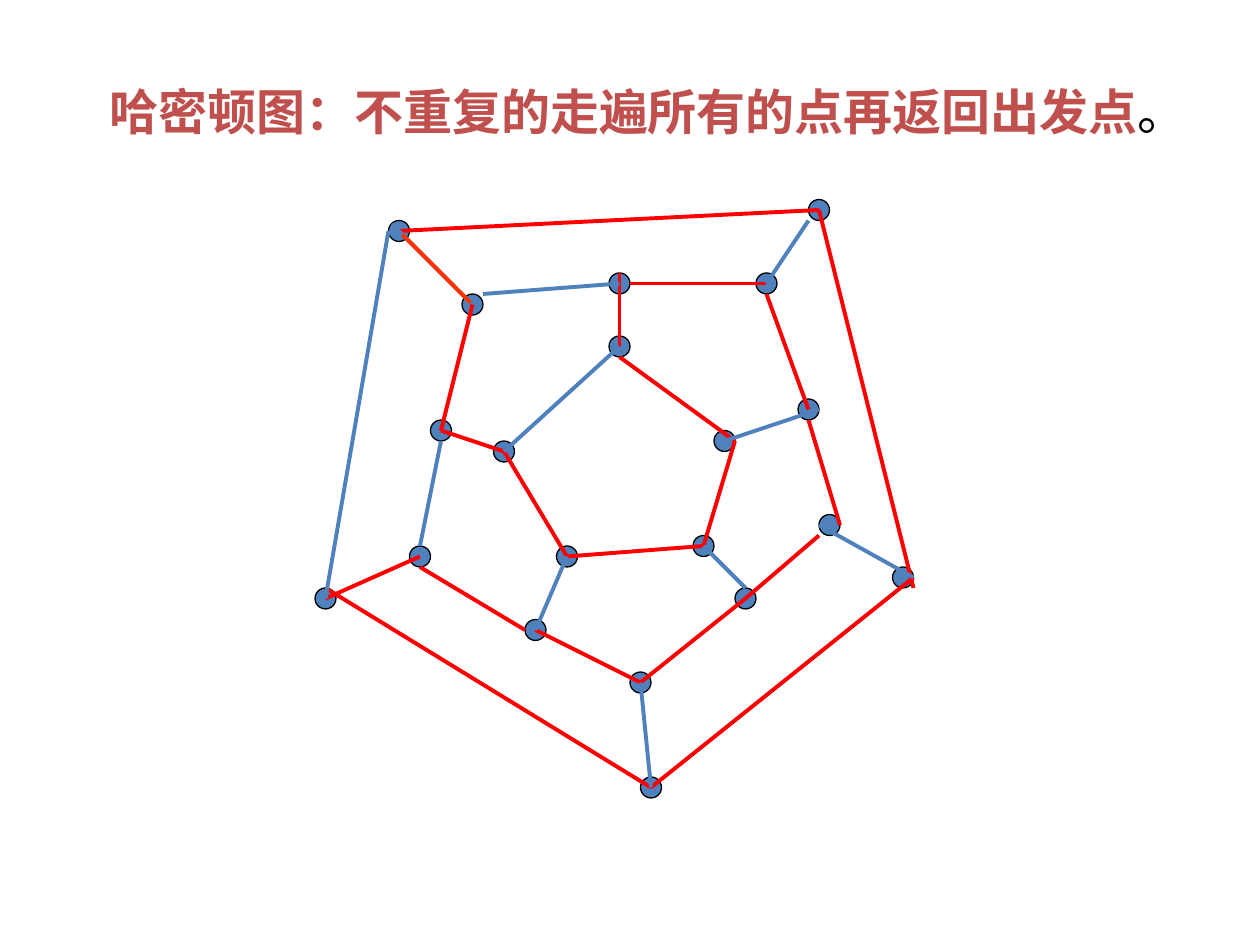
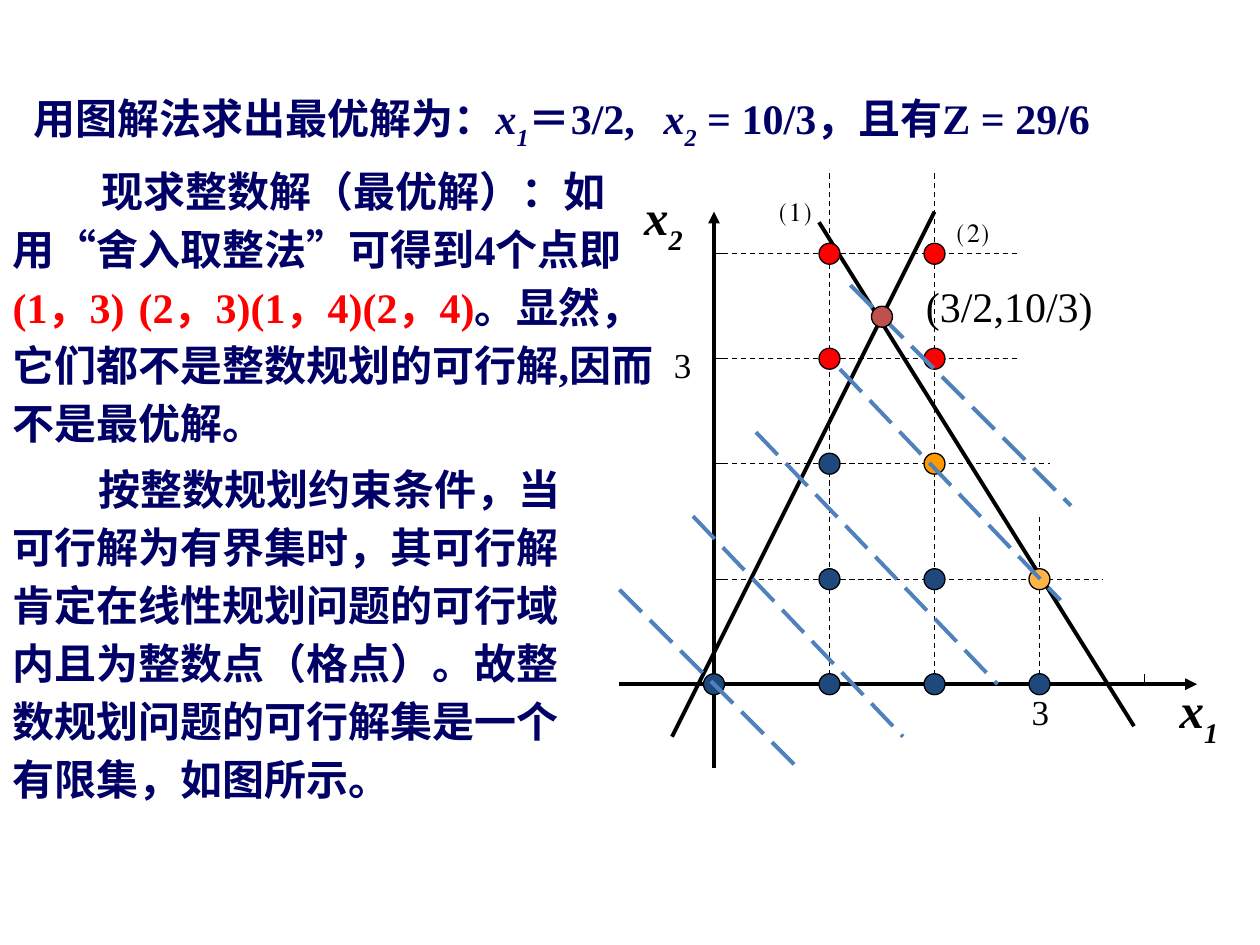
from dataclasses import dataclass
from typing import Optional

import pptx
import pptx.dml.color
import pptx.enum.dml
import pptx.enum.shapes
import pptx.enum.text
import pptx.oxml
import pptx.oxml.ns
import pptx.util

Pt = pptx.util.Pt
Point = tuple[float, float]
Box = tuple[float, float, float, float]


@dataclass(frozen=True)
class Theme:
    font: str = "Times New Roman"
    black: str = "000000"
    navy: str = "000066"
    red: str = "FF0000"
    brick: str = "C0504D"
    blue: str = "4F81BD"
    orange: str = "FF3300"
    lattice: str = "1F497D"
    amber: str = "FF9900"
    light_amber: str = "FFB445"
    heading: float = 28
    body: float = 24
    label: float = 20
    thick: float = 2.25
    thin: float = 0.75
    dot: float = 12


THEME = Theme()
DASH = pptx.enum.dml.MSO_LINE.DASH
LONG_DASH = pptx.enum.dml.MSO_LINE.LONG_DASH


@dataclass(frozen=True)
class Span:
    text: str
    color: Optional[str] = None
    bold: Optional[bool] = None
    italic: Optional[bool] = None
    subscript: bool = False


@dataclass(frozen=True)
class Dot:
    center: Point
    color: str = THEME.blue


@dataclass(frozen=True)
class Stroke:
    start: Point
    end: Point
    color: str = THEME.black
    width: float = THEME.thick
    dash: Optional[pptx.enum.dml.MSO_LINE] = None
    arrow: bool = False


@dataclass(frozen=True)
class Passage:
    box: Box
    spans: tuple[Span, ...]
    size: float
    color: str = THEME.black
    bold: bool = False
    wrap: bool = True
    line_spacing: float = 1.0
    space_before: float = 0
    indent: float = 0
    tab: Optional[float] = None


def rgb(color: str) -> pptx.dml.color.RGBColor:
    return pptx.dml.color.RGBColor.from_string(color)


def draw_dot(slide, dot: Dot) -> None:
    x, y = dot.center
    half = THEME.dot / 2
    disc = slide.shapes.add_shape(
        pptx.enum.shapes.MSO_SHAPE.OVAL,
        Pt(x - half), Pt(y - half), Pt(THEME.dot), Pt(THEME.dot),
    )
    disc.shadow.inherit = False
    disc.fill.solid()
    disc.fill.fore_color.rgb = rgb(dot.color)
    disc.line.color.rgb = rgb(THEME.black)
    disc.line.width = Pt(THEME.thin)


def draw_stroke(slide, stroke: Stroke) -> None:
    segment = slide.shapes.add_connector(
        pptx.enum.shapes.MSO_CONNECTOR.STRAIGHT,
        *(Pt(value) for value in stroke.start + stroke.end),
    )
    segment.line.color.rgb = rgb(stroke.color)
    segment.line.width = Pt(stroke.width)
    if stroke.dash is not None:
        segment.line.dash_style = stroke.dash
    properties = segment._element.spPr
    if stroke.arrow:
        head = pptx.oxml.parse_xml(
            f'<a:tailEnd {pptx.oxml.ns.nsdecls("a")} type="triangle"/>'
        )
        properties.find(pptx.oxml.ns.qn("a:ln")).append(head)
    properties.append(
        pptx.oxml.parse_xml(f'<a:effectLst {pptx.oxml.ns.nsdecls("a")}/>')
    )


def write_passage(holder, passage: Passage) -> None:
    holder.left, holder.top, holder.width, holder.height = map(Pt, passage.box)
    frame = holder.text_frame
    frame.word_wrap = passage.wrap
    frame.auto_size = pptx.enum.text.MSO_AUTO_SIZE.NONE
    frame.vertical_anchor = pptx.enum.text.MSO_ANCHOR.TOP
    paragraph = frame.paragraphs[0]
    paragraph.alignment = pptx.enum.text.PP_ALIGN.LEFT
    paragraph.line_spacing = passage.line_spacing
    paragraph.space_before = Pt(passage.space_before)
    properties = paragraph._p.get_or_add_pPr()
    properties.set("marL", "0")
    properties.set("indent", str(Pt(passage.indent)))
    namespace = pptx.oxml.ns.nsdecls("a")
    properties.append(pptx.oxml.parse_xml(f"<a:buNone {namespace}/>"))
    if passage.tab is not None:
        properties.append(pptx.oxml.parse_xml(
            f'<a:tabLst {namespace}><a:tab pos="{Pt(passage.tab)}" algn="l"/></a:tabLst>'
        ))
    paragraph.font.name = THEME.font
    paragraph.font.size = Pt(passage.size)
    paragraph.font.bold = passage.bold
    paragraph.font.color.rgb = rgb(passage.color)
    for span in passage.spans:
        run = paragraph.add_run()
        run.text = span.text
        run.font.bold = span.bold
        run.font.italic = span.italic
        if span.color:
            run.font.color.rgb = rgb(span.color)
        if span.subscript:
            run._r.get_or_add_rPr().set("baseline", "-30000")


def add_label(slide, passage: Passage) -> None:
    write_passage(slide.shapes.add_textbox(*map(Pt, passage.box)), passage)


def variable(index: str) -> tuple[Span, Span]:
    return Span("x", italic=True), Span(index, italic=True, subscript=True)


OUTER_RING = [(228, 132), (468, 120), (516, 330), (372, 450), (186, 342)]
MIDDLE_RING = [
    (270, 174), (354, 162), (438, 162), (462, 234), (474, 300),
    (426, 342), (366, 390), (306, 360), (240, 318), (252, 246),
]
INNER_RING = [(354, 198), (414, 252), (402, 312), (324, 318), (288, 258)]

CIRCUIT_EDGES = [
    ((354, 204), (420, 252)), ((420, 252), (402, 312)),
    ((324, 318), (402, 312)), ((288, 258), (324, 318)),
    ((270, 174), (252, 246)), ((240, 324), (300, 360)),
    ((306, 360), (366, 390)), ((366, 390), (426, 342)),
    ((426, 342), (468, 306)), ((480, 300), (462, 240)),
    ((360, 162), (438, 162)), ((438, 168), (462, 234)),
    ((228, 132), (468, 120)), ((468, 120), (522, 336)),
    ((186, 336), (372, 450)), ((522, 330), (372, 450)),
    ((186, 342), (240, 318)), ((354, 156), (354, 198)),
    ((252, 246), (288, 258)),
]
UNUSED_EDGES = [
    ((288, 258), (354, 198)), ((354, 162), (276, 168)),
    ((252, 252), (240, 312)), ((222, 132), (186, 342)),
    ((366, 390), (372, 450)), ((462, 126), (438, 162)),
    ((468, 300), (522, 330)), ((324, 318), (306, 360)),
    ((402, 312), (426, 336)), ((414, 252), (468, 234)),
    ((269, 173), (224, 128)),
]
CLOSING_EDGES = [((269, 173), (230, 134))]


def build_hamilton_graph(deck) -> None:
    slide = deck.slides.add_slide(deck.slide_layouts[5])
    write_passage(slide.shapes.title, Passage(
        (55.5, 43, 629, 108),
        (Span("哈密顿图：不重复的走遍所有的点再返回出发点", THEME.brick, True), Span("。")),
        THEME.heading, wrap=False,
    ))
    for vertex in OUTER_RING + MIDDLE_RING + INNER_RING:
        draw_dot(slide, Dot(vertex))
    for edges, color in (
        (CIRCUIT_EDGES, THEME.red),
        (UNUSED_EDGES, THEME.blue),
        (CLOSING_EDGES, THEME.orange),
    ):
        for start, end in edges:
            draw_stroke(slide, Stroke(start, end, color))


COLUMNS = [408, 474, 534, 594, 654]
ROWS = [391, 331, 265, 205, 145]
ROW_ENDS = [630, 600, 582, 582]
COLUMN_TOPS = [97, 97, 295]
TICK = 6
LATTICE_COLORS = {
    (3, 1): THEME.light_amber, (2, 2): THEME.amber,
    (1, 3): THEME.red, (2, 3): THEME.red,
    (1, 4): THEME.red, (2, 4): THEME.red,
}
FEASIBLE_POINTS = [(0, 0), (1, 0), (2, 0), (3, 0), (1, 1), (2, 1), (1, 2)]
OBJECTIVE_LINES = [
    ((354, 337), (456, 439)), ((480, 211), (606, 343)),
    ((486, 163), (612, 289)), ((432, 247), (570, 391)),
    ((396, 295), (516, 421)),
]


def draw_axes_and_grid(slide) -> None:
    origin_x, origin_y = COLUMNS[0], ROWS[0]
    strokes = [
        Stroke((origin_x, 439), (origin_x, 121), arrow=True),
        Stroke((354, origin_y), (684, origin_y), arrow=True),
        Stroke((648, 415), (468, 127)),
        Stroke((384, 421), (534, 121)),
    ]
    for x in COLUMNS[1:]:
        strokes.append(Stroke((x, origin_y), (x, origin_y - TICK), width=THEME.thin))
    for y, end in zip(ROWS[1:], ROW_ENDS):
        strokes.append(Stroke((origin_x, y), (origin_x + TICK, y), width=THEME.thin))
        strokes.append(Stroke((origin_x, y), (end, y), width=THEME.thin, dash=DASH))
    for x, top in zip(COLUMNS[1:], COLUMN_TOPS):
        strokes.append(Stroke((x, origin_y), (x, top), width=THEME.thin, dash=DASH))
    for stroke in strokes:
        draw_stroke(slide, stroke)


def build_integer_programming(deck) -> None:
    slide = deck.slides.add_slide(deck.slide_layouts[3])
    heading, rounding, feasible_set = slide.placeholders
    write_passage(heading, Passage(
        (12, 49, 684, 41),
        (Span("用图解法求出最优解为："), *variable("1"), Span("＝3/2,\t"),
         *variable("2"), Span(" = 10/3，且有Z = 29/6")),
        THEME.body, THEME.navy, True, tab=362,
    ))
    write_passage(rounding, Passage(
        (0, 86.5, 388, 173),
        (Span("现求整数解（最优解）：如用“舍入取整法”可得到4个点即"),
         Span("(1，3)\t(2，3)(1，4)(2，4)", THEME.red),
         Span("。显然，它们都不是整数规划的可行解,因而不是最优解。")),
        THEME.body, THEME.navy, True, line_spacing=1.15, indent=51, tab=100,
    ))
    write_passage(feasible_set, Passage(
        (0, 257, 338, 212),
        (Span("按整数规划约束条件，当可行解为有界集时，其可行解肯定在线性规划问题的"
              "可行域内且为整数点（格点）。故整数规划问题的可行解集是一个有限集，如图所示。"),),
        THEME.body, THEME.navy, True, line_spacing=1.15, space_before=15, indent=49,
    ))
    draw_axes_and_grid(slide)
    for index, left, top in (("1", 667, 385), ("2", 361, 103)):
        add_label(slide, Passage((left, top, 36, 47), variable(index),
                                 THEME.heading, bold=True, wrap=False))
    for text, box, size in (
        ("⑴", (438.5, 103, 35, 32), THEME.label),
        ("⑵", (540, 115, 35, 32), THEME.label),
        ("3", (378, 193, 25, 32), THEME.label),
        ("3", (582.5, 391, 25, 32), THEME.label),
        ("(3/2,10/3)", (522, 157, 110, 36), THEME.body),
    ):
        add_label(slide, Passage(box, (Span(text),), size))
    for column, row in FEASIBLE_POINTS + list(LATTICE_COLORS):
        color = LATTICE_COLORS.get((column, row), THEME.lattice)
        draw_dot(slide, Dot((COLUMNS[column], ROWS[row]), color))
    for start, end in OBJECTIVE_LINES:
        draw_stroke(slide, Stroke(start, end, THEME.blue, dash=LONG_DASH))
    draw_dot(slide, Dot((504, 181), THEME.brick))


def main() -> None:
    deck = pptx.Presentation()
    deck.slide_width, deck.slide_height = Pt(720), Pt(540)
    build_hamilton_graph(deck)
    build_integer_programming(deck)
    deck.save("out.pptx")


if __name__ == "__main__":
    main()
